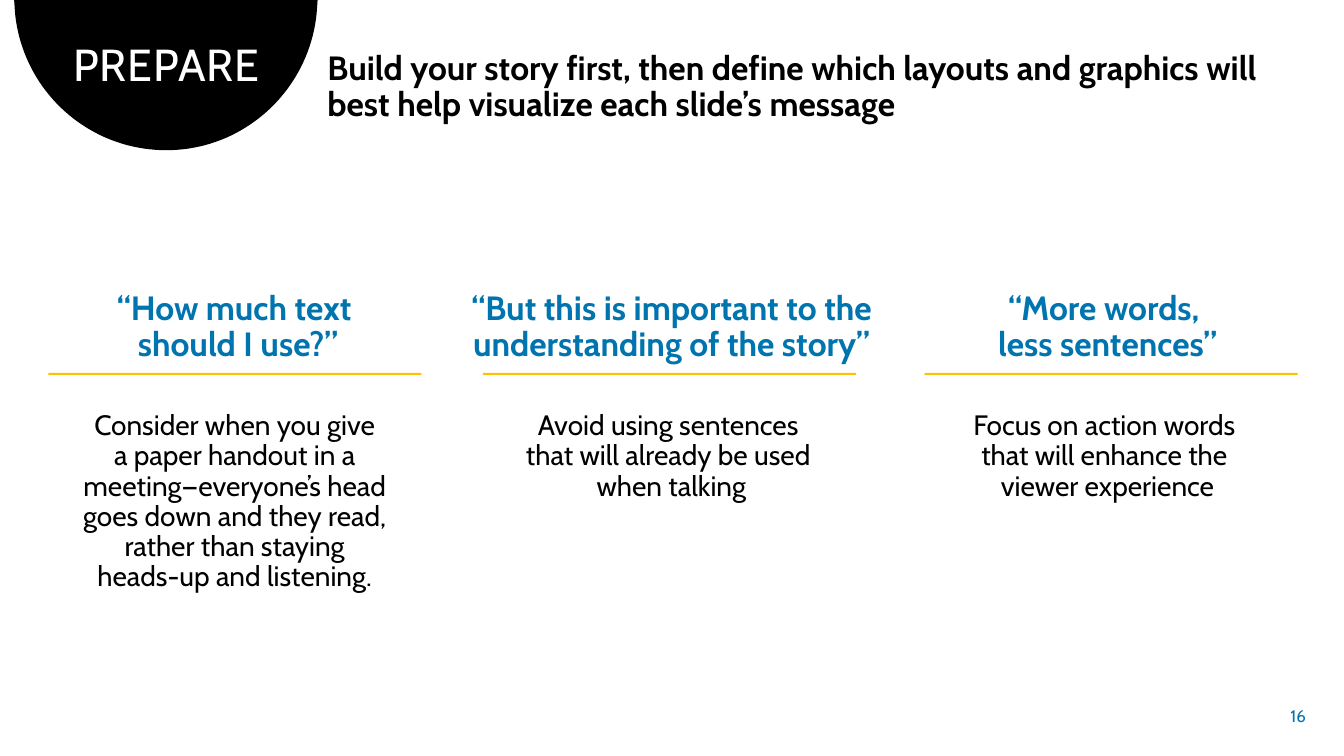
from pptx import Presentation
from pptx.dml.color import RGBColor
from pptx.enum.shapes import MSO_SHAPE
from pptx.enum.text import MSO_ANCHOR, MSO_AUTO_SIZE, PP_ALIGN as Align
from pptx.util import Inches, Pt

BLACK = RGBColor(0x00, 0x00, 0x00)
WHITE = RGBColor(0xFF, 0xFF, 0xFF)
BLUE = RGBColor(0x00, 0x74, 0xAF)
GOLD = RGBColor(0xFF, 0xC0, 0x00)


def write(paragraph, lines, size, color, bold=False, align=Align.CENTER):
    """Fill a paragraph, one run per line."""
    paragraph.alignment = align
    paragraph.line_spacing = 0.9
    for number, line in enumerate(lines):
        if number:
            paragraph.add_line_break()
        run = paragraph.add_run()
        run.text = line
        run.font.name = "Cabin"
        run.font.size = Pt(size)
        run.font.bold = bold
        run.font.color.rgb = color
    return run


def paint(shape, color):
    shape.fill.solid()
    shape.fill.fore_color.rgb = color
    shape.line.fill.background()
    shape.shadow.inherit = False


prs = Presentation()
prs.slide_width, prs.slide_height = Inches(13.33), Inches(7.5)
slide = prs.slides.add_slide(prs.slide_layouts[5])
shapes = slide.shapes

# Black dome, two Bézier arcs hanging from the top edge
arcs = [
    [(3.14, 0.14), (3.06, 0.9), (2.42, 1.49), (1.65, 1.49)],
    [(1.65, 1.49), (0.87, 1.49), (0.23, 0.9), (0.15, 0.14)],
]
STEPS = 40
outline = [(3.15, 0), (3.14, 0.14)]
for arc in arcs:
    for step in range(1, STEPS + 1):
        t = step / STEPS
        weights = [(1 - t) ** 3, 3 * t * (1 - t) ** 2, 3 * t * t * (1 - t), t ** 3]
        outline.append(tuple(sum(w * p[axis] for w, p in zip(weights, arc))
                             for axis in (0, 1)))
builder = shapes.build_freeform(Inches(0.14), 0)
builder.add_line_segments([(Inches(x), Inches(y)) for x, y in outline], close=True)
dome = builder.convert_to_shape()
paint(dome, BLACK)
shapes._spTree.insert(2, dome._element)  # behind the title

# Title on the dome
title = shapes.title
title.left, title.top = Inches(0.35), Inches(0.37)
title.width, title.height = Inches(2.6), Inches(0.59)
title.text_frame.auto_size = MSO_AUTO_SIZE.NONE
title.text_frame.vertical_anchor = MSO_ANCHOR.TOP
title_run = write(title.text_frame.paragraphs[0], ["PREPARE"], 32, WHITE)
title_run.font._element.set("spc", "60")

# Key message
message = shapes.add_textbox(Inches(3.15), Inches(0.46), Inches(9.93), Inches(0.83))
message.text_frame.word_wrap = True
message_paragraph = message.text_frame.paragraphs[0]
message_paragraph.space_before = Pt(10)
write(message_paragraph,
      ["Build your story first, then define which layouts and graphics will "
       "best help visualize each slide’s message"],
      24, BLACK, bold=True, align=Align.LEFT)

# Three columns: left, width, height, rule left, question, advice
columns = [
    (0.33, 4.06, 3.21, 0.48,
     ["“How much text ", "should I use?”"],
     ["Consider when you give ", "a paper handout in a ",
      "meeting—everyone’s head ", "goes down and they read, ",
      "rather than staying ", "heads-up and listening. "]),
    (4.56, 4.2, 2.21, 4.79,
     ["“But this is important to the understanding of the story”"],
     ["Avoid using sentences ", "that will already be used ", "when talking"]),
    (8.92, 4.13, 2.21, 9.17,
     ["“More words, ", "less sentences”"],
     ["Focus on action words ", "that will enhance the ", "viewer experience"]),
]
for left, width, height, rule_left, question, advice in columns:
    column = shapes.add_textbox(Inches(left), Inches(2.84), Inches(width), Inches(height))
    column.text_frame.word_wrap = True
    heading = column.text_frame.paragraphs[0]
    body = column.text_frame.add_paragraph()
    heading.space_before = body.space_before = Pt(10)
    heading.space_after, body.space_after = Pt(24), Pt(12)
    write(heading, question, 24, BLUE, bold=True)
    write(body, advice, 20, BLACK)

    rule = shapes.add_shape(MSO_SHAPE.RECTANGLE, Inches(rule_left), Inches(3.7),
                            Inches(3.7), Inches(0.02))
    paint(rule, GOLD)

# Slide number
page_number = shapes.add_textbox(Inches(12.5), Inches(6.91), Inches(0.55), Inches(0.4))
page_number.text_frame.word_wrap = False
page_number.text_frame.vertical_anchor = MSO_ANCHOR.MIDDLE
write(page_number.text_frame.paragraphs[0], ["16"], 12, BLUE, align=Align.RIGHT)

prs.save("out.pptx")
